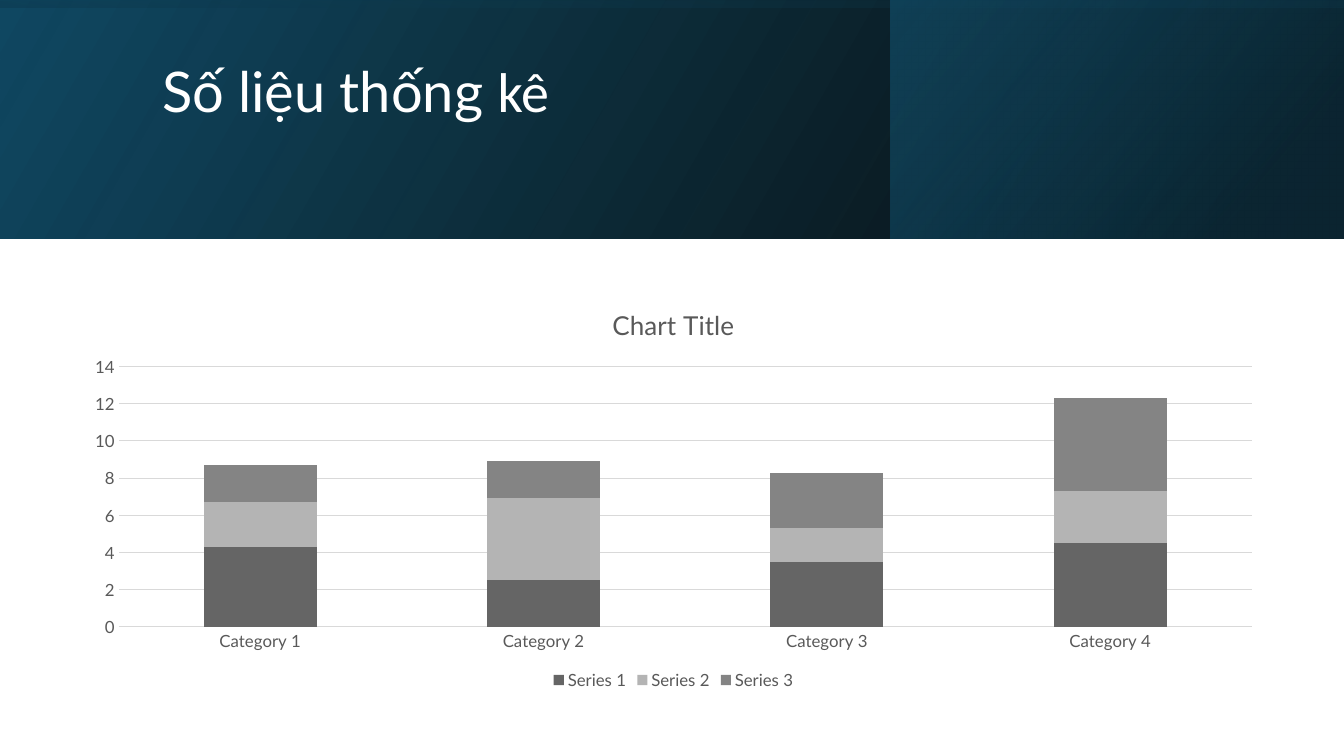
from lxml.etree import SubElement
from pptx import Presentation
from pptx.chart.data import CategoryChartData
from pptx.dml.color import RGBColor
from pptx.enum.chart import XL_CHART_TYPE as ChartType, XL_LEGEND_POSITION as LegendSpot
from pptx.enum.chart import XL_TICK_MARK as TickMark
from pptx.enum.shapes import MSO_SHAPE as Shape
from pptx.enum.text import MSO_ANCHOR as Anchor, MSO_AUTO_SIZE as AutoSize, PP_ALIGN as Align
from pptx.oxml.ns import qn
from pptx.util import Pt

EMU_PER_PX = 914400 / 100.8
PAGE_WIDTH, PAGE_HEIGHT = 1344, 756
COLOURS = {
    "white": "FFFFFF", "black": "000000", "blue": "104862", "deep": "0B3041",
    "teal": "156082", "label": "595959", "grid": "D9D9D9",
    "series": ["656565", "B4B4B4", "848484"],
}
CATEGORIES = [f"Category {number}" for number in range(1, 5)]
SERIES = {
    "Series 1": (4.3, 2.5, 3.5, 4.5),
    "Series 2": (2.4, 4.4, 1.8, 2.8),
    "Series 3": (2, 2, 3, 5),
}


def px(length):
    return round(length * EMU_PER_PX)


def rgb(value):
    return RGBColor.from_string(value)


def set_font(font, size, colour, name="Lato"):
    font.size, font.name, font.bold = Pt(size), name, False
    font.color.rgb = rgb(colour)


def add_gradient_panel(page, box, stops, angle, rotation=0):
    """Mirrored rectangle; stops are (position %, colour, opacity %), angle is clockwise."""
    panel = page.shapes.add_shape(Shape.RECTANGLE, *map(px, box))
    panel.shadow.inherit = False
    panel.line.fill.background()
    panel.rotation = rotation
    properties = panel._element.spPr
    properties.find(qn("a:xfrm")).set("flipH", "1")
    panel.fill.gradient()
    gradient = properties.find(qn("a:gradFill"))
    for child in list(gradient):
        gradient.remove(child)
    stop_list = SubElement(gradient, qn("a:gsLst"))
    for position, colour, opacity in stops:
        stop = SubElement(stop_list, qn("a:gs"), pos=str(position * 1000))
        shade = SubElement(stop, qn("a:srgbClr"), val=COLOURS[colour])
        SubElement(shade, qn("a:alpha"), val=str(opacity * 1000))
    SubElement(gradient, qn("a:lin"), ang=str(angle * 60000), scaled="0")


def add_banner(page, box):
    left, top, width, height = box
    side_left = left + 891
    add_gradient_panel(page, box, [(0, "black", 96), (100, "blue", 100)], 330)
    add_gradient_panel(page, (side_left, top, width - 892, height),
                       [(19, "deep", 68), (100, "teal", 48)], 320)
    inset = (width - height) // 2
    add_gradient_panel(page, (left + inset, top - inset, height, width),
                       [(23, "blue", 16), (99, "black", 45)], 350, rotation=270)


def place_title(page, box):
    title = page.shapes.title
    title.left, title.top, title.width, title.height = map(px, box)
    page.shapes._spTree.append(title._element)  # in front of the banner
    frame = title.text_frame
    frame.word_wrap, frame.auto_size = True, AutoSize.NONE
    frame.vertical_anchor = Anchor.MIDDLE
    frame.margin_bottom = px(66)
    para = frame.paragraphs[0]
    para.alignment, para.line_spacing = Align.LEFT, 0.9
    for text, name in (("Số liệu thống ", "Lato"), ("kê", "Calibri")):
        span = para.add_run()
        span.text = text
        set_font(span.font, 40, COLOURS["white"], name)


def style_line(line):
    line.color.rgb = rgb(COLOURS["grid"])
    line.width = Pt(0.75)


def add_statistics_chart(page, box):
    data = CategoryChartData()
    data.categories = CATEGORIES
    for name, values in SERIES.items():
        data.add_series(name, values)
    chart = page.shapes.add_chart(ChartType.COLUMN_STACKED, *map(px, box), data).chart
    set_font(chart.font, 10, COLOURS["black"])

    chart.has_title = True
    heading = chart.chart_title.text_frame
    heading.text = "Chart Title"
    set_font(heading.paragraphs[0].runs[0].font, 18.6, COLOURS["label"])
    chart.chart_title.include_in_layout = False

    chart.has_legend = True
    chart.legend.position = LegendSpot.BOTTOM
    chart.legend.include_in_layout = False
    set_font(chart.legend.font, 12, COLOURS["label"])

    for axis in (chart.category_axis, chart.value_axis):
        axis.major_tick_mark = axis.minor_tick_mark = TickMark.NONE
        set_font(axis.tick_labels.font, 12, COLOURS["label"])
    style_line(chart.category_axis.format.line)
    value_axis = chart.value_axis
    value_axis.format.line.fill.background()
    value_axis.minimum_scale, value_axis.maximum_scale, value_axis.major_unit = 0, 14, 2
    value_axis.has_major_gridlines = True
    style_line(value_axis.major_gridlines.format.line)

    plot = chart.plots[0]
    plot.gap_width, plot.overlap, plot.vary_by_categories = 150, 100, False
    for series, colour in zip(plot.series, COLOURS["series"]):
        series.format.fill.solid()
        series.format.fill.fore_color.rgb = rgb(colour)


def main():
    deck = Presentation()
    deck.slide_width, deck.slide_height = px(PAGE_WIDTH), px(PAGE_HEIGHT)
    page = deck.slides.add_slide(deck.slide_layouts[5])
    page.background.fill.solid()
    page.background.fill.fore_color.rgb = rgb(COLOURS["white"])
    add_banner(page, (0, 0, PAGE_WIDTH, 239))
    place_title(page, (152, 38, 1072, 173))
    add_statistics_chart(page, (71, 288, 1205, 406))
    deck.save("out.pptx")


if __name__ == "__main__":
    main()
